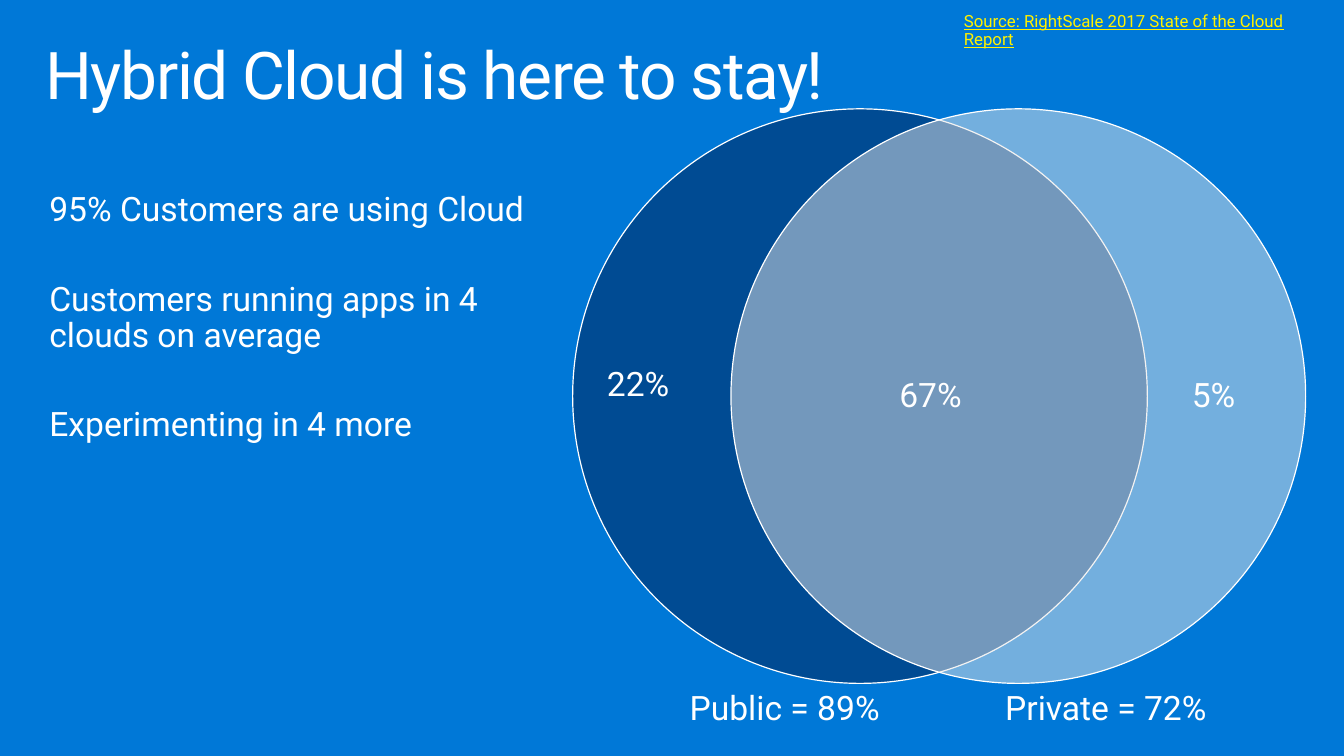
from dataclasses import dataclass

from lxml import etree
from pptx import Presentation
from pptx.dml.color import RGBColor
from pptx.enum.shapes import MSO_SHAPE
from pptx.enum.text import MSO_ANCHOR
from pptx.oxml.ns import qn
from pptx.util import Inches, Pt

OVAL = MSO_SHAPE.OVAL
TOP = MSO_ANCHOR.TOP


@dataclass(frozen=True)
class Theme:
    """Colours, font and type sizes of the slide."""
    back: str = "0078D7"
    white: str = "FFFFFF"
    navy: str = "002050"
    grey: str = "E6E6E6"
    yellow: str = "FFF100"
    font: str = "Roboto"
    title: int = 47
    body: int = 24
    note: int = 12


THEME = Theme()


def color(code):
    """Turn a hex code into a colour."""
    return RGBColor.from_string(code)


def add_text(slide, box, *lines, size=THEME.body, ink=THEME.white,
             pad=(0.2, 0.16), gap=0, under=None, track=None):
    """Add a text box with one paragraph per line."""
    frame = slide.shapes.add_textbox(*map(Inches, box)).text_frame
    frame.word_wrap = True
    frame.vertical_anchor = TOP
    frame.margin_left = frame.margin_right = Inches(pad[0])
    frame.margin_top = frame.margin_bottom = Inches(pad[1])
    for i, line in enumerate(lines):
        para = frame.add_paragraph() if i else frame.paragraphs[0]
        para.line_spacing = 0.9
        para.space_before = Pt(gap if i else 0)
        run = para.add_run()
        run.text = line
        font = run.font
        font.name, font.size, font.underline = THEME.font, Pt(size), under
        font.color.rgb = color(ink)
        if track:
            run._r.get_or_add_rPr().set("spc", str(track))


def add_disc(group, left, fill):
    """Add one half-clear circle of the Venn diagram."""
    disc = group.shapes.add_shape(
        OVAL, Inches(left), Inches(1.08), Inches(5.7), Inches(5.7))
    disc.shadow.inherit = False
    disc.fill.solid()
    disc.fill.fore_color.rgb = color(fill)
    tint = disc._element.spPr.find(qn("a:solidFill"))[0]
    etree.SubElement(tint, qn("a:alpha")).set("val", "50000")
    disc.line.color.rgb = color(THEME.white)
    disc.line.width = Pt(0.85)


def main():
    """Build and save the slide."""
    deck = Presentation()
    deck.slide_width, deck.slide_height = Inches(13.33), Inches(7.5)
    slide = deck.slides.add_slide(deck.slide_layouts[6])
    slide.background.fill.solid()
    slide.background.fill.fore_color.rgb = color(THEME.back)

    add_text(slide, (0.29, 0.32, 12.75, 0.98), "Hybrid Cloud is here to stay!",
             size=THEME.title, pad=(0.16, 0.1), track=-100)

    venn = slide.shapes.add_group_shape()
    for left, fill in ((5.68, THEME.navy), (7.25, THEME.grey)):
        add_disc(venn, left, fill)

    add_text(slide, (9.36, -0.03, 3.97, 0.5),
             "Source: RightScale 2017 State of the Cloud Report",
             size=THEME.note, ink=THEME.yellow, under=True)
    add_text(slide, (0.29, 1.75, 5.37, 2.84),
             "95% Customers are using Cloud",
             "Customers running apps in 4 clouds on average",
             "Experimenting in 4 more", gap=38)

    labels = (
        ("Public = 89%", 6.64, 6.7, 2.55),
        ("Private = 72%", 9.77, 6.7, 2.55),
        ("22%", 5.82, 3.49, 1.04),
        ("67%", 8.72, 3.59, 1.04),
        ("5%", 11.62, 3.59, 0.88),
    )
    for text, left, top, width in labels:
        add_text(slide, (left, top, width, 0.69), text)

    deck.save("out.pptx")


if __name__ == "__main__":
    main()
